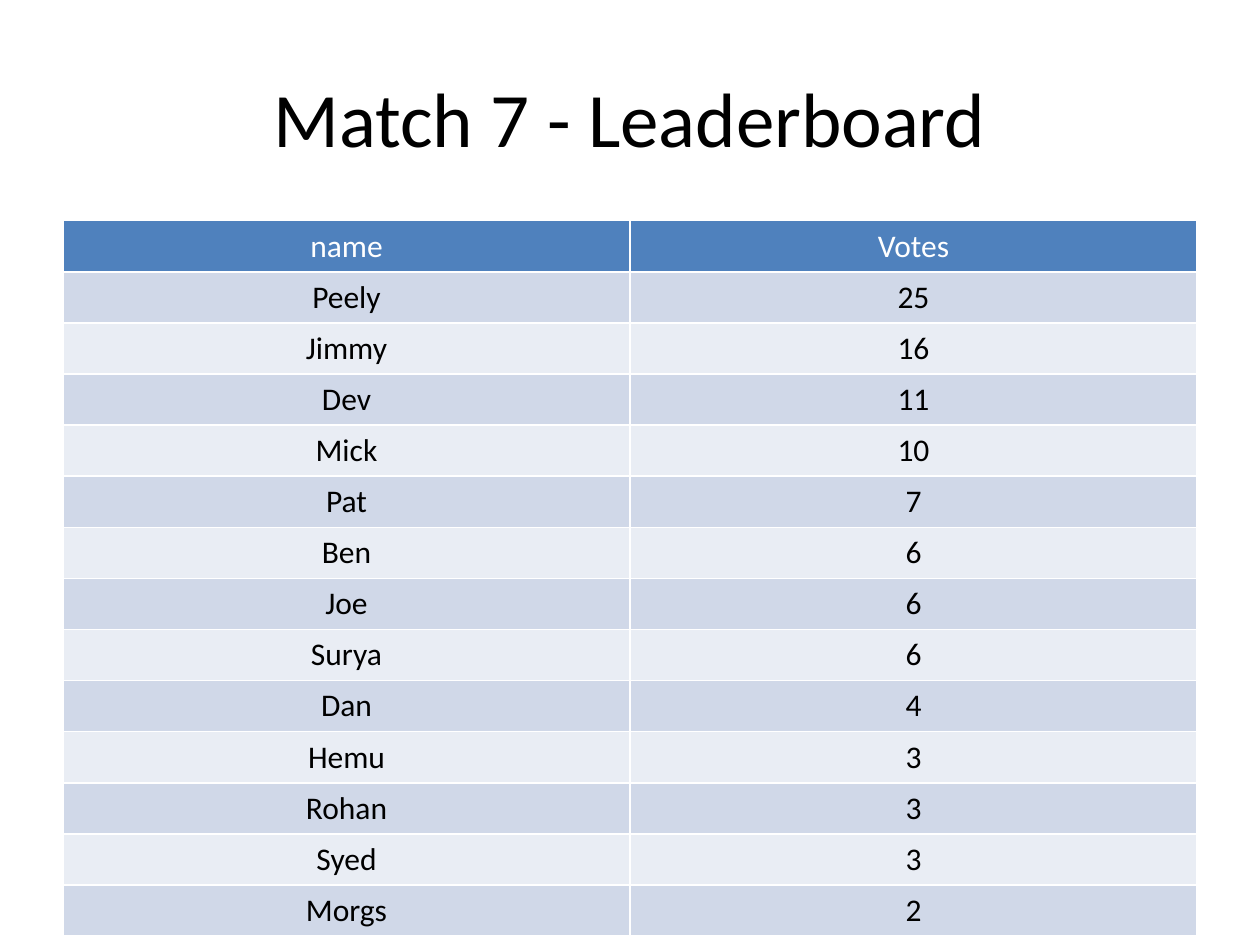
from dataclasses import dataclass

from pptx import Presentation
from pptx import util as u
from pptx.dml import color
from pptx.enum import text


@dataclass(frozen=True)
class Theme:
    font: str = "Calibri"
    title_size: int = 44
    table_size: int = 18
    ink: str = "000000"
    header_ink: str = "FFFFFF"
    header_fill: str = "4F81BD"
    band_fills: tuple = ("D0D8E8", "E9EDF4")


THEME = Theme()
MARGIN = u.Cm(1.27)
CONTENT_WIDTH = u.Cm(22.86)
ROW_HEIGHT = u.Cm(1.03)

HEADINGS = ("name", "Votes")
STANDINGS = [
    ("Peely", 25), ("Jimmy", 16), ("Dev", 11), ("Mick", 10), ("Pat", 7),
    ("Ben", 6), ("Joe", 6), ("Surya", 6), ("Dan", 4), ("Hemu", 3),
    ("Rohan", 3), ("Syed", 3), ("Morgs", 2),
]


def write_text(frame, content, *, size, ink=THEME.ink):
    """Write one centred paragraph into a text frame."""
    paragraph = frame.paragraphs[0]
    paragraph.alignment = text.PP_ALIGN.CENTER
    run = paragraph.add_run()
    run.text = str(content)
    run.font.name = THEME.font
    run.font.size = u.Pt(size)
    run.font.bold = False
    run.font.color.rgb = color.RGBColor.from_string(ink)


def add_title(slide, content):
    shape = slide.shapes.add_textbox(MARGIN, u.Cm(0.76), CONTENT_WIDTH, u.Cm(3.18))
    frame = shape.text_frame
    frame.word_wrap = True
    frame.vertical_anchor = text.MSO_ANCHOR.MIDDLE
    write_text(frame, content, size=THEME.title_size)


def add_leaderboard(slide, headings, standings):
    rows = [headings, *standings]
    # The default table style supplies the white cell borders
    table = slide.shapes.add_table(
        len(rows), len(headings), MARGIN, u.Cm(4.45),
        CONTENT_WIDTH, ROW_HEIGHT * len(rows),
    ).table

    for row_index, values in enumerate(rows):
        # Header row first, then alternating bands
        if row_index == 0:
            fill, ink = THEME.header_fill, THEME.header_ink
        else:
            fill, ink = THEME.band_fills[(row_index - 1) % 2], THEME.ink
        for column_index, value in enumerate(values):
            cell = table.cell(row_index, column_index)
            cell.fill.solid()
            cell.fill.fore_color.rgb = color.RGBColor.from_string(fill)
            write_text(cell.text_frame, value, size=THEME.table_size, ink=ink)


def main():
    presentation = Presentation()
    presentation.slide_width = u.Cm(25.4)
    presentation.slide_height = u.Cm(19.05)
    slide = presentation.slides.add_slide(presentation.slide_layouts[6])

    add_title(slide, "Match 7 - Leaderboard")
    add_leaderboard(slide, HEADINGS, STANDINGS)

    presentation.save("out.pptx")


if __name__ == "__main__":
    main()
